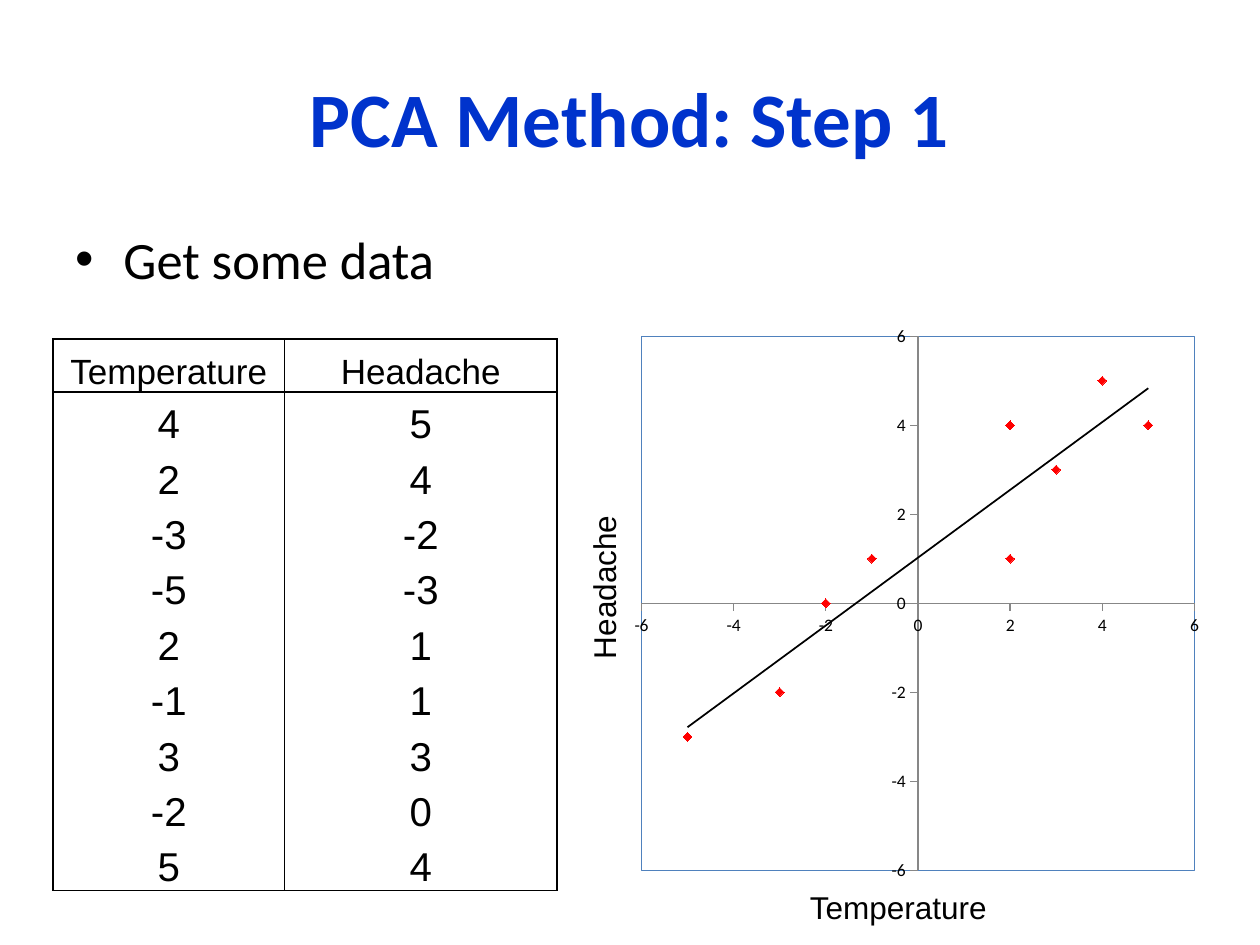
import pptx
import pptx.chart.data
import pptx.dml.color
import pptx.enum.chart
import pptx.enum.text
import pptx.oxml
import pptx.oxml.ns
import pptx.util

Inches = pptx.util.Inches
Pt = pptx.util.Pt
CENTER = pptx.enum.text.PP_ALIGN.CENTER
LEFT = pptx.enum.text.PP_ALIGN.LEFT

BLACK, RED, GRAY = "000000", "FF0000", "878787"
TITLE_BLUE, FRAME_BLUE = "0033CC", "4F81BD"

HEADINGS = ("Temperature", "Headache")
READINGS = [(4, 5), (2, 4), (-3, -2), (-5, -3), (2, 1), (-1, 1), (3, 3), (-2, 0), (5, 4)]


def color(hex_value):
    return pptx.dml.color.RGBColor.from_string(hex_value)


def xml(tag, content="", attributes=""):
    namespaces = pptx.oxml.ns.nsdecls("a", "c")
    return pptx.oxml.parse_xml(f"<{tag} {namespaces} {attributes}>{content}</{tag}>")


def line_xml(hex_value):
    return f'<a:solidFill><a:srgbClr val="{hex_value}"/></a:solidFill>'


def format_font(font, hex_value=BLACK, **values):
    for name, value in values.items():
        setattr(font, name, value)
    font.color.rgb = color(hex_value)


def place(shape, left, top, width, height):
    position = {"left": left, "top": top, "width": width, "height": height}
    for name, value in position.items():
        setattr(shape, name, Inches(value))


def write_text(frame, text, align, hex_value=BLACK, **values):
    para = frame.paragraphs[0]
    para.alignment = align
    span = para.add_run()
    span.text = text
    format_font(span.font, hex_value, **values)
    return para


def add_bullet(para, indent):
    properties = para._p.get_or_add_pPr()
    properties.set("marL", str(Inches(indent)))
    properties.set("indent", str(-Inches(indent)))
    properties.append(xml("a:buFont", attributes='typeface="Arial"'))
    properties.append(xml("a:buChar", attributes='char="•"'))


def add_axis_name(page, text, left, top, rotation=0):
    box = page.shapes.add_textbox(Inches(left), Inches(top), Inches(1.92), Inches(0.4))
    box.rotation = rotation
    box.text_frame.word_wrap = True
    write_text(box.text_frame, text, LEFT, size=Pt(18), name="Arial")


def set_borders(cell, top, bottom):
    properties = cell._tc.get_or_add_tcPr()
    sides = {"L": True, "R": True, "T": top, "B": bottom}
    for index, (side, visible) in enumerate(sides.items()):
        content = line_xml(BLACK) if visible else "<a:noFill/>"
        properties.insert(index, xml(f"a:ln{side}", content, f'w="{Pt(1)}"'))


def add_data_table(page):
    rows = [HEADINGS] + READINGS
    frame = page.shapes.add_table(len(rows), 2, Inches(0.42), Inches(2.69), Inches(4), Inches(4.38))
    table = frame.table
    table.first_row = table.horz_banding = False
    for column, width in zip(table.columns, (1.84, 2.16)):
        column.width = Inches(width)
    cell_format = {
        "margin_left": Inches(0.07), "margin_right": Inches(0.07),
        "margin_top": 0, "margin_bottom": 0,
        "vertical_anchor": pptx.enum.text.MSO_ANCHOR.BOTTOM,
    }
    for row_index, values in enumerate(rows):
        heading = row_index == 0
        table.rows[row_index].height = Inches(0.42 if heading else 0.44)
        for column_index, value in enumerate(values):
            cell = table.cell(row_index, column_index)
            for name, setting in cell_format.items():
                setattr(cell, name, setting)
            cell.fill.background()
            set_borders(cell, top=row_index < 2, bottom=row_index in (0, len(rows) - 1))
            para = write_text(cell.text_frame, str(value), CENTER,
                              size=Pt(20 if heading else 23), name="Arial")
            para.line_spacing = 1.15


def format_axis(axis):
    values = {
        "minimum_scale": -6, "maximum_scale": 6, "major_unit": 2,
        "has_major_gridlines": False, "has_title": False,
        "major_tick_mark": pptx.enum.chart.XL_TICK_MARK.OUTSIDE,
        "minor_tick_mark": pptx.enum.chart.XL_TICK_MARK.NONE,
        "tick_label_position": pptx.enum.chart.XL_TICK_LABEL_POSITION.NEXT_TO_AXIS,
    }
    for name, value in values.items():
        setattr(axis, name, value)
    axis.format.line.color.rgb = color(GRAY)
    axis.format.line.width = Pt(0.75)


def format_plot_area(chart):
    plot_area = chart.element.xpath("c:chart/c:plotArea")[0]
    for layout in plot_area.xpath("c:layout"):
        plot_area.remove(layout)
    settings = {"layoutTarget": "inner", "xMode": "edge", "yMode": "edge",
                "x": 0.036, "y": 0.02, "w": 0.924, "h": 0.959}
    content = "".join(f'<c:{name} val="{value}"/>' for name, value in settings.items())
    plot_area.insert(0, xml("c:layout", f"<c:manualLayout>{content}</c:manualLayout>"))
    frame = f'<a:noFill/><a:ln w="{Pt(0.75)}">{line_xml(FRAME_BLUE)}</a:ln>'
    plot_area.append(xml("c:spPr", frame))


def add_trend_line(chart):
    line = f'<c:spPr><a:ln w="{Pt(1)}">{line_xml(BLACK)}</a:ln></c:spPr>'
    options = ('<c:trendlineType val="linear"/><c:dispRSqr val="0"/>'
               '<c:dispEq val="0"/>')
    x_values = chart.element.xpath(".//c:ser/c:xVal")[0]
    x_values.addprevious(xml("c:trendline", line + options))


def add_scatter_chart(page):
    data = pptx.chart.data.XyChartData()
    points = data.add_series("Series 1")
    for temperature, headache in READINGS:
        points.add_data_point(temperature, headache)
    chart = page.shapes.add_chart(
        pptx.enum.chart.XL_CHART_TYPE.XY_SCATTER,
        Inches(4.92), Inches(2.58), Inches(4.75), Inches(4.42), data).chart
    chart.has_legend = chart.has_title = False
    format_font(chart.font, size=Pt(10), name="Calibri")
    chart.plots[0].vary_by_categories = False
    for axis in (chart.category_axis, chart.value_axis):
        format_axis(axis)

    # Red diamonds without a joining line
    series = chart.plots[0].series[0]
    series.smooth = False
    series.format.line.fill.background()
    marker = series.marker
    marker.style = pptx.enum.chart.XL_MARKER_STYLE.DIAMOND
    marker.size = 5
    marker.format.fill.solid()
    marker.format.fill.fore_color.rgb = color(RED)
    marker.format.line.color.rgb = color(RED)

    add_trend_line(chart)
    format_plot_area(chart)


def main():
    deck = pptx.Presentation()
    deck.slide_width, deck.slide_height = Inches(10), Inches(7.5)
    page = deck.slides.add_slide(deck.slide_layouts[1])

    # Title and bullet
    title, body = page.shapes.title, page.placeholders[1]
    place(title, 0.5, 0.3, 9, 1.25)
    title.text_frame.vertical_anchor = pptx.enum.text.MSO_ANCHOR.MIDDLE
    write_text(title.text_frame, "PCA Method: Step 1", CENTER, TITLE_BLUE,
               size=Pt(44), name="Calibri", bold=True)
    place(body, 0.5, 1.75, 3.67, 1.08)
    para = write_text(body.text_frame, "Get some data", LEFT, size=Pt(30), name="Calibri")
    para.space_before = Pt(0)
    add_bullet(para, 0.38)

    # Data and its scatter plot
    add_data_table(page)
    add_scatter_chart(page)
    add_axis_name(page, HEADINGS[0], 6.33, 7)
    add_axis_name(page, HEADINGS[1], 3.83, 4.17, rotation=270)

    deck.save("out.pptx")


if __name__ == "__main__":
    main()
